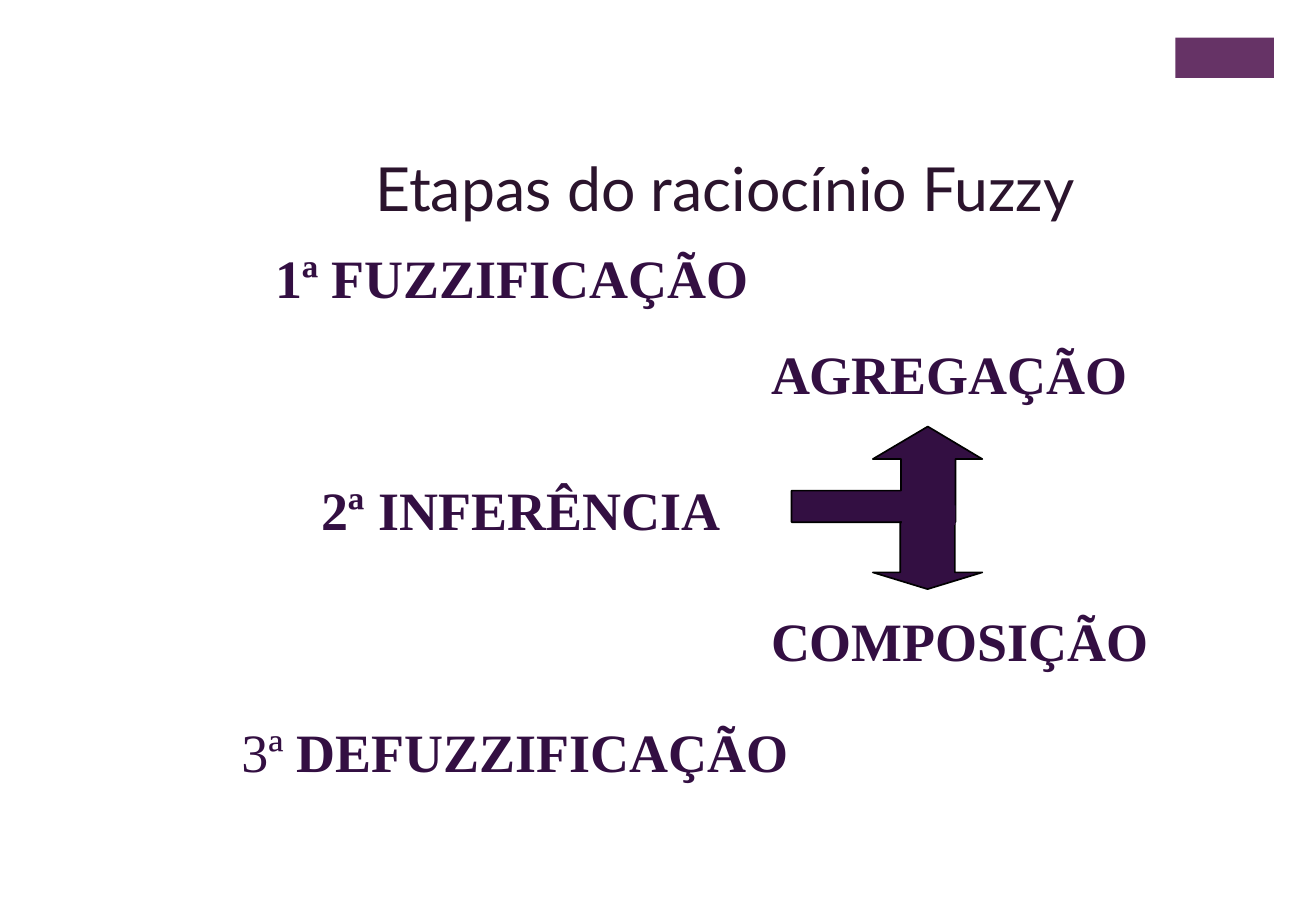
"""Build the slide on the stages of fuzzy reasoning."""
from pptx import Presentation
from pptx.dml.color import RGBColor
from pptx.enum.shapes import MSO_SHAPE
from pptx.enum.text import MSO_ANCHOR, MSO_AUTO_SIZE, PP_ALIGN
from pptx.util import Cm, Pt

THEME = {
    "accent": RGBColor.from_string("663366"),
    "ink": RGBColor.from_string("330F42"),
    "outline": RGBColor.from_string("000000"),
    "title": {"name": "Lato", "size": Pt(36), "bold": False,
              "color": RGBColor.from_string("2B142D")},
    "stage": {"name": "Times New Roman", "size": Pt(32), "bold": True,
              "color": RGBColor.from_string("330F42")},
}


def format_font(font, style):
    for attribute, value in style.items():
        if attribute == "color":
            font.color.rgb = value
        else:
            setattr(font, attribute, value)


def paint(shape, fill, outline=None):
    shape.shadow.inherit = False
    shape.fill.solid()
    shape.fill.fore_color.rgb = fill
    if outline is None:
        shape.line.fill.background()
    else:
        shape.line.color.rgb = outline
        shape.line.width = Pt(1)


presentation = Presentation()
presentation.slide_width = Cm(27.53)
presentation.slide_height = Cm(19.05)
slide = presentation.slides.add_slide(presentation.slide_layouts[5])

corner = slide.shapes.add_shape(
    MSO_SHAPE.RECTANGLE, Cm(24.59), Cm(0.79), Cm(2.06), Cm(0.84))
paint(corner, THEME["accent"])

heading = slide.shapes.title
heading_box = {"left": Cm(3.45), "top": Cm(0.74), "width": Cm(23.44), "height": Cm(4.06)}
for attribute, value in heading_box.items():
    setattr(heading, attribute, value)
heading.text_frame.auto_size = MSO_AUTO_SIZE.NONE
heading.text_frame.vertical_anchor = MSO_ANCHOR.BOTTOM
heading_line = heading.text_frame.paragraphs[0]
heading_line.alignment = PP_ALIGN.CENTER
heading_run = heading_line.add_run()
heading_run.text = "Etapas do raciocínio Fuzzy"
format_font(heading_run.font, THEME["title"])

PLAIN_INSET, DEEP_INSET = 0.25, 0.53
stages = [
    (5.51, 4.98, 11.91, PLAIN_INSET, "", "1ª FUZZIFICAÇÃO"),
    (6.2, 9.83, 10.31, DEEP_INSET, "", "2ª INFERÊNCIA"),
    (15.6, 6.99, 10.31, DEEP_INSET, "", "AGREGAÇÃO"),
    (4.52, 14.91, 13.31, DEEP_INSET, "3ª ", "DEFUZZIFICAÇÃO"),
    (15.6, 12.57, 10.31, DEEP_INSET, "", "COMPOSIÇÃO"),
]
for left, top, width, inset, ordinal, name in stages:
    stage = slide.shapes.add_textbox(Cm(left), Cm(top), Cm(width), Cm(1.63))
    frame = stage.text_frame
    frame.word_wrap = True
    frame.margin_left = Cm(inset)
    for words, bold in ((ordinal, False), (name, True)):
        if words:
            run = frame.paragraphs[0].add_run()
            run.text = words
            format_font(run.font, THEME["stage"] | {"bold": bold})

branch = slide.shapes.add_group_shape().shapes
tip, *outline_points = [
    (Cm(x), Cm(y)) for x, y in (
        (19.41, 8.92), (18.26, 9.6), (18.85, 9.6), (18.85, 10.26), (16.56, 10.26),
        (16.56, 10.92), (19.99, 10.92), (19.99, 9.6), (20.55, 9.6))
]
builder = branch.build_freeform(*tip)
builder.add_line_segments(outline_points, close=True)
paint(builder.convert_to_shape(), THEME["ink"], THEME["outline"])

down_arrow = branch.add_shape(
    MSO_SHAPE.DOWN_ARROW, Cm(18.26), Cm(10.92), Cm(2.29), Cm(1.4))
down_arrow.adjustments[0] = 0.5
down_arrow.adjustments[1] = 0.25
paint(down_arrow, THEME["ink"], THEME["outline"])

joint = branch.add_shape(
    MSO_SHAPE.RECTANGLE, Cm(18.87), Cm(10.57), Cm(1.12), Cm(0.41))
paint(joint, THEME["ink"])

presentation.save("out.pptx")
